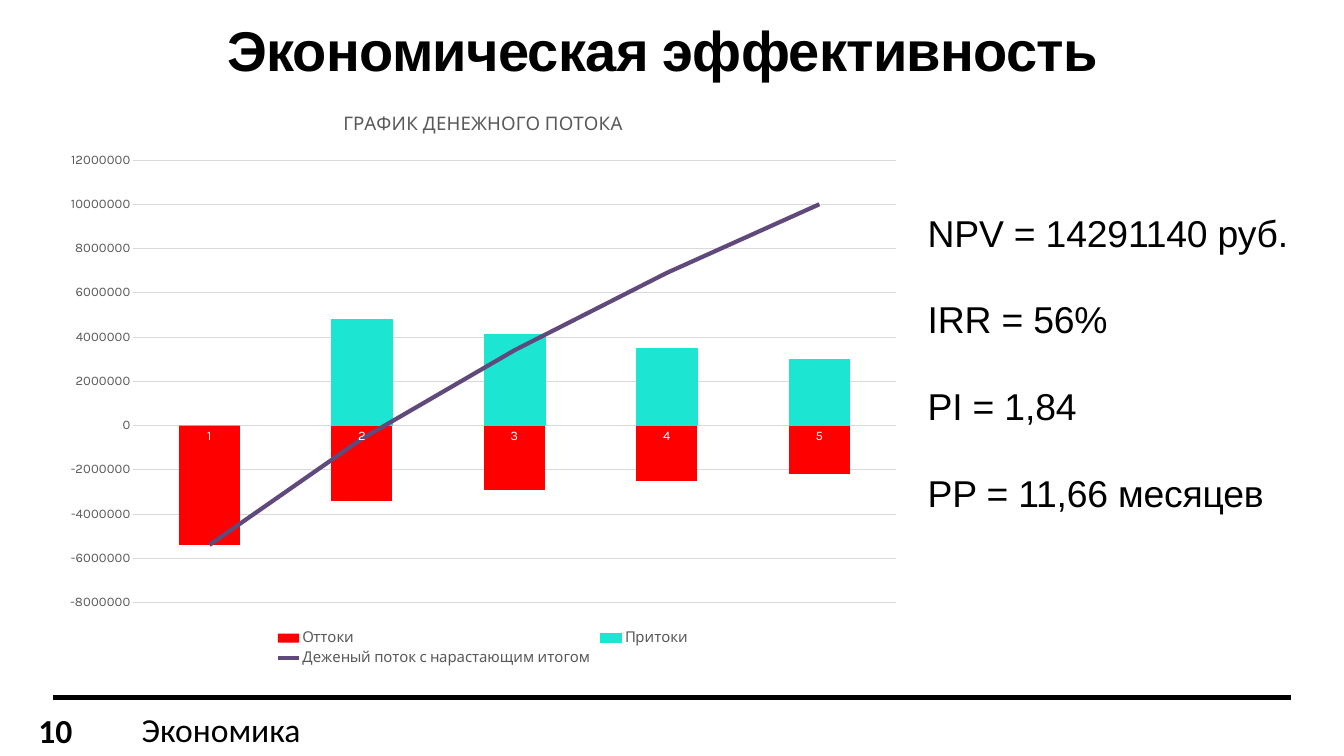
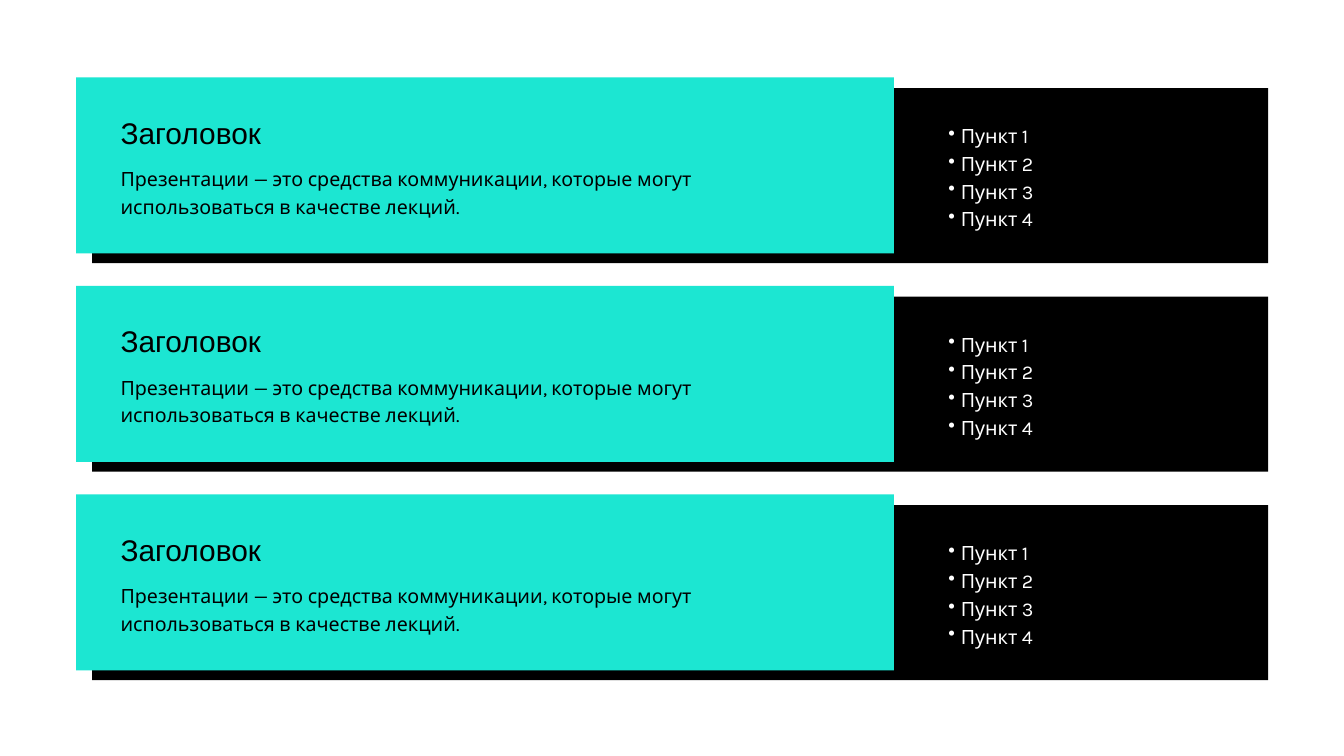
import pptx
import pptx.chart.data
import pptx.dml.color
import pptx.enum.chart
import pptx.enum.shapes
import pptx.enum.text
import pptx.oxml
import pptx.oxml.ns
import pptx.util

Pt = pptx.util.Pt

# Content
TITLE = "Экономическая эффективность"
SECTION = "Экономика"
PAGE_NUMBER = "10"
METRICS = ["NPV = 14291140 руб.", "IRR = 56%", "PI = 1,84", "PP = 11,66 месяцев"]
CHART_TITLE = "ГРАФИК ДЕНЕЖНОГО ПОТОКА"
YEARS = ["1", "2", "3", "4", "5"]
FLOWS = [
    ("Оттоки", "red", [-5400000, -3400000, -2900000, -2500000, -2200000]),
    ("Притоки", "teal", [0, 4800000, 4100000, 3500000, 3000000]),
    ("Деженый поток с нарастающим итогом", "purple",
     [-5400000, -600000, 3400000, 6900000, 10000000]),
]
CARD = (
    "Заголовок",
    "Презентации — это средства коммуникации, которые могут использоваться в качестве лекций.",
    ["Пункт 1", "Пункт 2", "Пункт 3", "Пункт 4"],
)
CARDS = [CARD] * 3

# Shared style
COLORS = {"black": "000000", "white": "FFFFFF", "teal": "1CE6D2", "red": "FF0000",
          "purple": "604A7B", "gray": "595959", "grid": "D9D9D9"}
HEAD_FONT, FOOTER_FONT, BODY_FONT = "Arial", "Calibri", "Karla"


def color(name):
    return pptx.dml.color.RGBColor.from_string(COLORS[name])


def style_font(font, name, size, tint, bold=False):
    font.name, font.size, font.bold = name, Pt(size), bold
    font.color.rgb = color(tint)


def style_line(line, tint, width):
    line.color.rgb = color(tint)
    line.width = Pt(width)


def add_text(shapes, place, lines, font, size, tint="black", bold=False,
             leading=None, tracking=0, inset=0, bullets=False):
    box = shapes.add_textbox(*[Pt(length) for length in place])
    frame = box.text_frame
    frame.word_wrap = True
    frame.auto_size = pptx.enum.text.MSO_AUTO_SIZE.SHAPE_TO_FIT_TEXT
    frame.margin_left = frame.margin_right = Pt(inset)
    frame.margin_top = frame.margin_bottom = Pt(inset / 2)
    frame.text = "\n".join(lines)
    for para in frame.paragraphs:
        if leading:
            para.line_spacing = Pt(leading)
        if bullets:
            para.level = 1
            properties = para._p.get_or_add_pPr()
            properties.set("marL", str(Pt(27)))
            properties.set("indent", str(Pt(-13.5)))
            bullet = pptx.oxml.parse_xml(
                f'<a:buChar {pptx.oxml.ns.nsdecls("a")} char="•"/>')
            properties.append(bullet)
        for span in para.runs:
            style_font(span.font, font, size, tint, bold)
            if tracking:
                span._r.get_or_add_rPr().set("spc", str(round(tracking * 100)))


def add_band(shapes, place, tint):
    band = shapes.add_shape(pptx.enum.shapes.MSO_SHAPE.RECTANGLE,
                            *[Pt(length) for length in place])
    band.shadow.inherit = False
    band.fill.solid()
    band.fill.fore_color.rgb = color(tint)
    band.line.fill.background()


def add_footer(shapes):
    rule = shapes.add_connector(pptx.enum.shapes.MSO_CONNECTOR.STRAIGHT,
                                Pt(57), Pt(747.5), Pt(1383), Pt(747.5))
    style_line(rule.line, "black", 6)
    rule._element.spPr.append(
        pptx.oxml.parse_xml(f'<a:effectLst {pptx.oxml.ns.nsdecls("a")}/>'))
    add_text(shapes, (34, 757.5, 78, 51), [PAGE_NUMBER], FOOTER_FONT, 36,
             bold=True, inset=7.2)
    add_text(shapes, (144.7, 756, 263.5, 51), [SECTION], FOOTER_FONT, 36, inset=7.2)


def move_last_series_to_line(chart):
    """Turn the last bar series into a line on the same axes."""
    bars = chart._chartSpace.xpath("//c:barChart")[0]
    series = bars.xpath("c:ser")[-1]
    for flag in series.xpath("c:invertIfNegative"):
        series.remove(flag)
    axes = "".join(f'<c:axId val="{number}"/>' for number in bars.xpath("c:axId/@val"))
    lines = pptx.oxml.parse_xml(
        f'<c:lineChart {pptx.oxml.ns.nsdecls("c")}><c:grouping val="standard"/>'
        f'<c:varyColors val="0"/><c:marker val="1"/>{axes}</c:lineChart>')
    lines.insert(2, series)
    bars.addnext(lines)


def add_cash_flow_chart(shapes):
    data = pptx.chart.data.CategoryChartData()
    data.categories = YEARS
    for name, _, values in FLOWS:
        data.add_series(name, values)
    chart = shapes.add_chart(pptx.enum.chart.XL_CHART_TYPE.COLUMN_STACKED,
                             Pt(57), Pt(98.6), Pt(921), Pt(618.5), data).chart
    style_font(chart.font, FOOTER_FONT, 10, "black")

    # Title and legend
    chart.has_title = True
    chart.chart_title.include_in_layout = False
    heading = chart.chart_title.text_frame
    heading.text = CHART_TITLE
    style_font(heading.paragraphs[0].runs[0].font, BODY_FONT, 20, "gray")
    chart.has_legend = True
    chart.legend.position = pptx.enum.chart.XL_LEGEND_POSITION.BOTTOM
    chart.legend.include_in_layout = False
    style_font(chart.legend.font, BODY_FONT, 16, "gray")

    # Axes
    for axis, tint in ((chart.category_axis, "white"), (chart.value_axis, "gray")):
        axis.major_tick_mark = axis.minor_tick_mark = pptx.enum.chart.XL_TICK_MARK.NONE
        style_font(axis.tick_labels.font, BODY_FONT, 14, tint)
    style_line(chart.category_axis.format.line, "grid", 0.75)
    amounts = chart.value_axis
    amounts.minimum_scale, amounts.maximum_scale = -8000000, 12000000
    amounts.major_unit = 2000000
    amounts.format.line.fill.background()
    style_line(amounts.major_gridlines.format.line, "grid", 0.75)

    # Columns and the running total
    move_last_series_to_line(chart)
    columns, totals = chart.plots
    columns.overlap, columns.gap_width = 100, 150
    columns.vary_by_categories = False
    for series, (_, tint, _) in zip(columns.series, FLOWS):
        series.invert_if_negative = False
        series.format.fill.solid()
        series.format.fill.fore_color.rgb = color(tint)
    style_line(columns.series[1].format.line, "teal", 0.75)
    total = totals.series[0]
    total.smooth = False
    total.marker.style = pptx.enum.chart.XL_MARKER_STYLE.NONE
    style_line(total.format.line, FLOWS[-1][1], 4.5)


def build_economics(page):
    group = page.shapes.add_group_shape()
    for row, metric in enumerate(METRICS):
        add_text(group.shapes, (994, 245.5 + row * 92.9, 390, 29.5), [metric],
                 HEAD_FONT, 40, leading=27.3, tracking=-0.2)
    add_footer(page.shapes)
    add_cash_flow_chart(page.shapes)
    add_text(page.shapes, (243.4, 10, 952.6, 80), [TITLE], HEAD_FONT, 60,
             bold=True, leading=78.8, tracking=-0.8)


def build_cards(page):
    left, first_top, pitch = 81.5, 82.8, 223.5
    for row, (heading, body, points) in enumerate(CARDS):
        top = first_top + row * pitch
        add_band(page.shapes, (left + 17.3, top + 11.5, 1260, 187.5), "black")
        add_band(page.shapes, (left, top, 876.3, 188.6), "teal")
        group = page.shapes.add_group_shape()
        add_text(group.shapes, (left + 47.7, top + 91.4, 781, 57), [body],
                 BODY_FONT, 21, leading=29.8)
        add_text(group.shapes, (left + 47.7, top + 39.6, 781, 39), [heading],
                 HEAD_FONT, 32, leading=38.4)
        add_text(page.shapes, (left + 921, top + 45.4, 317.5, 117), points,
                 BODY_FONT, 21, "white", leading=29.8, bullets=True)


def main():
    deck = pptx.Presentation()
    deck.slide_width, deck.slide_height = Pt(1440), Pt(810)
    for build in (build_economics, build_cards):
        page = deck.slides.add_slide(deck.slide_layouts[6])
        page.background.fill.solid()
        page.background.fill.fore_color.rgb = color("white")
        build(page)
    deck.save("out.pptx")


if __name__ == "__main__":
    main()
